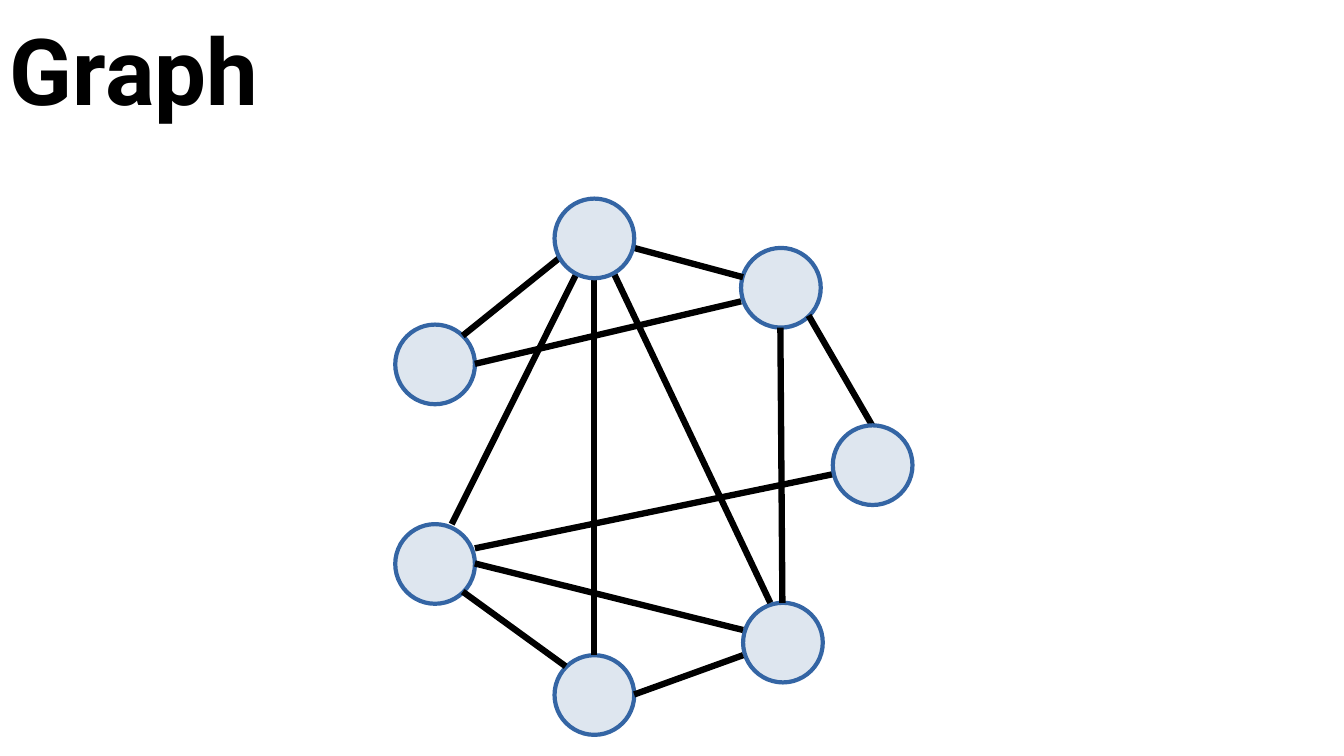
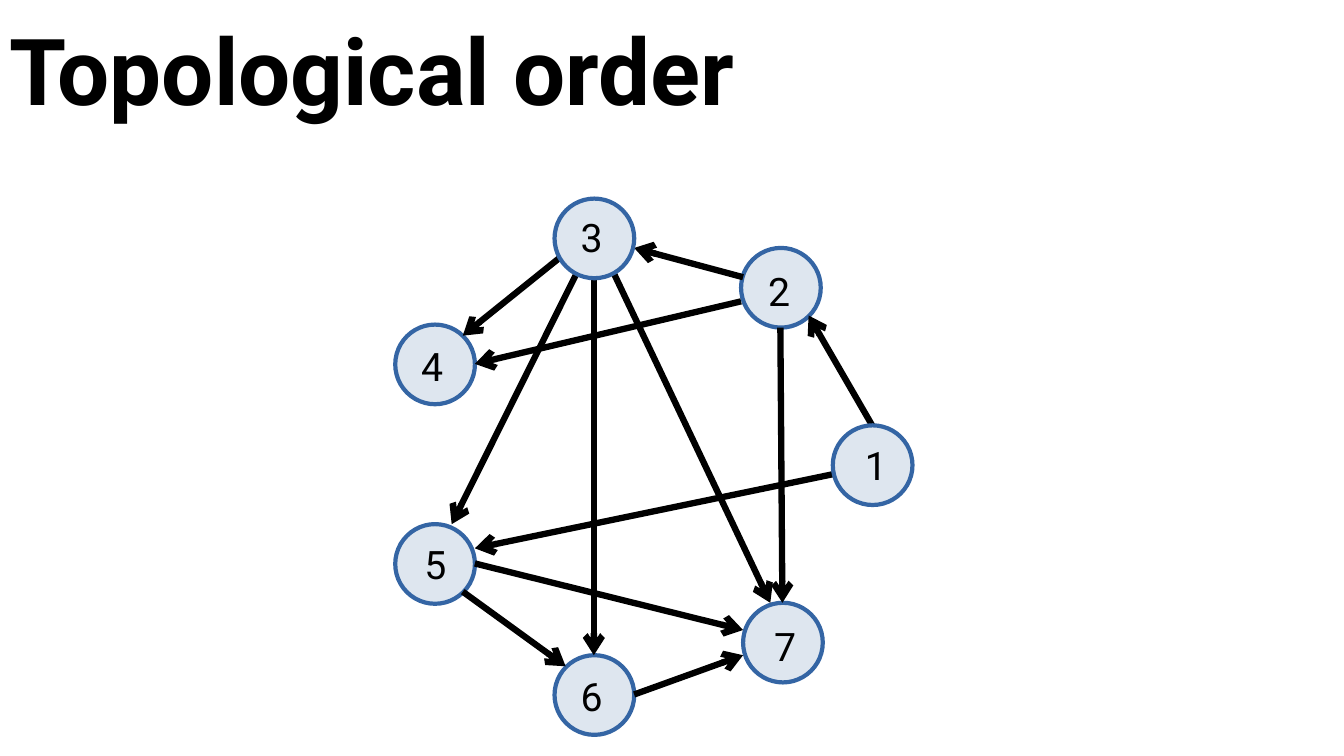
from lxml.etree import SubElement
from pptx import Presentation
from pptx.dml.color import RGBColor
from pptx.enum.shapes import MSO_CONNECTOR, MSO_SHAPE
from pptx.enum.text import MSO_ANCHOR
from pptx.oxml.ns import qn
from pptx.util import Pt

PX = 9144  # 100 px to the inch
FONT = "Roboto"
COLORS = {"ink": "000000", "node": "DEE6EF", "rim": "3465A4"}
DIAMETER = 79

# number: (node left, node top), (label left, label top)
NODES = {
    1: ((826, 422), (848, 433)),
    2: ((735, 246), (752, 260)),
    3: ((550, 197), (566, 207)),
    4: ((392, 322), (408, 335)),
    5: ((392, 520), (411, 531)),
    6: ((550, 650), (566, 662)),
    7: ((737, 598), (758, 612)),
}
NODES_BELOW_EDGES = (4, 2, 5, 6, 7)
NODES_ABOVE_EDGES = (3, 1)

# start x, start y, end x, end y in the direction of the arrow
EDGES = [
    (865, 422, 802, 313),  # 1 to 2
    (737, 275, 629, 246),  # 2 to 3
    (561, 251, 459, 333),  # 3 to 4
    (577, 261, 448, 520),  # 3 to 5
    (604, 261, 764, 598),  # 3 to 7
    (589, 275, 589, 650),  # 3 to 6
    (459, 587, 561, 661),  # 5 to 6
    (629, 689, 737, 650),  # 6 to 7
    (471, 559, 737, 625),  # 5 to 7
    (838, 468, 471, 544),  # 1 to 5
    (735, 299, 471, 361),  # 2 to 4
    (774, 325, 776, 598),  # 2 to 7
]

# title, directed and numbered
SLIDES = [("Graph", False), ("Topological order", True)]


def rgb(name):
    return RGBColor.from_string(COLORS[name])


def add_text(s, text, box, size, bold=False):
    tf = s.shapes.add_textbox(*[v * PX for v in box]).text_frame
    tf.word_wrap = True
    p = tf.paragraphs[0]
    p.text = text
    p.font.name = FONT
    p.font.size = Pt(size)
    p.font.bold = bold
    p.font.color.rgb = rgb("ink")
    return tf


prs = Presentation()
prs.slide_width = 1333 * PX
prs.slide_height = 750 * PX

for title, directed in SLIDES:
    s = prs.slides.add_slide(prs.slide_layouts[6])
    tf = add_text(s, title, (0, 2, 1333, 145), 66, bold=True)
    tf.vertical_anchor = MSO_ANCHOR.MIDDLE
    tf.paragraphs[0].line_spacing = 0.9

    edges = []
    for ends in EDGES:
        edge = s.shapes.add_connector(MSO_CONNECTOR.STRAIGHT, *[v * PX for v in ends])
        edge.line.width = Pt(4.5)
        edge.line.color.rgb = rgb("ink")
        if directed:
            SubElement(edge.line._get_or_add_ln(), qn("a:tailEnd"), type="arrow")
        SubElement(edge._element.spPr, qn("a:effectLst"))
        edges.append(edge)

    for number in NODES_BELOW_EDGES + NODES_ABOVE_EDGES:
        left, top = NODES[number][0]
        sp = s.shapes.add_shape(
            MSO_SHAPE.OVAL, left * PX, top * PX, DIAMETER * PX, DIAMETER * PX)
        sp.shadow.inherit = False
        sp.fill.solid()
        sp.fill.fore_color.rgb = rgb("node")
        sp.line.color.rgb = rgb("rim")
        sp.line.width = Pt(3)
        if number in NODES_BELOW_EDGES:
            edges[0]._element.addprevious(sp._element)

    if directed:
        for number, (_, (left, top)) in NODES.items():
            add_text(s, str(number), (left, top, 64, 57), 28)

prs.save("out.pptx")
